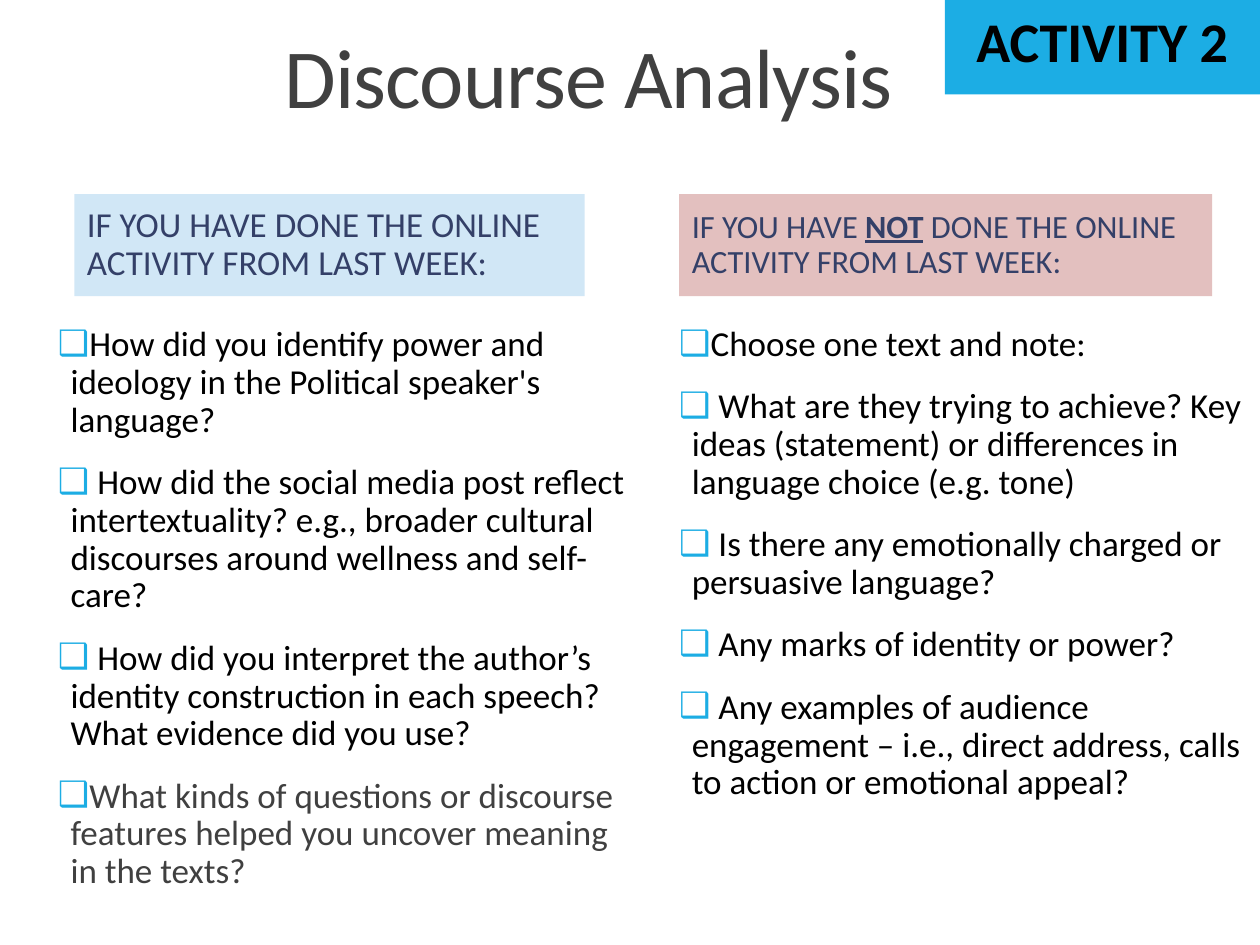
import pptx
import pptx.util
import pptx.dml.color
import pptx.enum.text
import pptx.enum.shapes
import pptx.oxml.ns
import lxml.etree

Inches = pptx.util.Inches
Pt = pptx.util.Pt
RGBColor = pptx.dml.color.RGBColor
ANCHOR = pptx.enum.text.MSO_ANCHOR
ALIGN = pptx.enum.text.PP_ALIGN

BLACK = RGBColor(0x00, 0x00, 0x00)
GRAY = RGBColor(0x40, 0x40, 0x40)
NAVY = RGBColor(0x34, 0x40, 0x68)
ACCENT = RGBColor(0x1C, 0xAD, 0xE4)
PALE_BLUE = RGBColor(0xD1, 0xE7, 0xF6)
PALE_RED = RGBColor(0xE3, 0xC0, 0xBF)

TITLE = "Discourse Analysis"
TAG = "ACTIVITY 2"
HEADING_TOP, HEADING_HEIGHT = 1.54, 0.81
LIST_TOP, LIST_WIDTH, LIST_HEIGHT = 2.54, 4.54, 4.56

COLUMNS = [
    {
        "heading": [("IF YOU HAVE DONE THE ONLINE ACTIVITY FROM LAST WEEK:", False)],
        "heading_left": 0.59, "heading_width": 4.05, "heading_size": 20,
        "fill": PALE_BLUE, "list_left": 0.46,
        "items": [
            ("How did you identify power and ideology in the Political speaker's language?", BLACK),
            (" How did the social media post reflect intertextuality? e.g., broader cultural "
             "discourses around wellness and self-care?", BLACK),
            (" How did you interpret the author’s identity construction in each speech? "
             "What evidence did you use?", BLACK),
            ("What kinds of questions or discourse features helped you uncover meaning "
             "in the texts?", GRAY),
        ],
    },
    {
        "heading": [("IF YOU HAVE ", False), ("NOT", True),
                    (" DONE THE ONLINE ACTIVITY FROM LAST WEEK:", False)],
        "heading_left": 5.39, "heading_width": 4.23, "heading_size": 18.5,
        "fill": PALE_RED, "list_left": 5.39,
        "items": [
            ("Choose one text and note:", BLACK),
            (" What are they trying to achieve? Key ideas (statement) or differences in "
             "language choice (e.g. tone)", BLACK),
            (" Is there any emotionally charged or persuasive language?", BLACK),
            (" Any marks of identity or power?", BLACK),
            (" Any examples of audience engagement – i.e., direct address, calls to action "
             "or emotional appeal?", BLACK),
        ],
    },
]


def place(shape, left, top, width, height, anchor):
    shape.left, shape.top = Inches(left), Inches(top)
    shape.width, shape.height = Inches(width), Inches(height)
    text_frame = shape.text_frame
    text_frame.word_wrap = True
    text_frame.auto_size = pptx.enum.text.MSO_AUTO_SIZE.NONE
    text_frame.vertical_anchor = anchor
    return text_frame


def style(run, size, color, bold=False):
    run.font.name = "Calibri"
    run.font.size = Pt(size)
    run.font.color.rgb = color
    run.font.bold = bold


def space(paragraph, before):
    paragraph.line_spacing = 0.9
    paragraph.space_before = Pt(before)
    paragraph.space_after = Pt(2)


def add_bullet(paragraph):
    properties = paragraph._p.get_or_add_pPr()
    properties.set("marL", str(Inches(0.1)))
    properties.set("indent", str(Inches(-0.1)))
    qn = pptx.oxml.ns.qn
    bullet_color = lxml.etree.SubElement(properties, qn("a:buClr"))
    lxml.etree.SubElement(bullet_color, qn("a:srgbClr"), val=str(ACCENT))
    lxml.etree.SubElement(properties, qn("a:buChar"), char="❑")


def fill_heading(shape, column):
    text_frame = place(shape, column["heading_left"], HEADING_TOP,
                       column["heading_width"], HEADING_HEIGHT, ANCHOR.MIDDLE)
    shape.fill.solid()
    shape.fill.fore_color.rgb = column["fill"]
    paragraph = text_frame.paragraphs[0]
    space(paragraph, 0)
    for text, emphasized in column["heading"]:
        run = paragraph.add_run()
        run.text = text
        style(run, column["heading_size"], NAVY, emphasized)
        run.font.underline = emphasized


def fill_list(shape, column):
    text_frame = place(shape, column["list_left"], LIST_TOP, LIST_WIDTH, LIST_HEIGHT, ANCHOR.TOP)
    text_frame.margin_left = text_frame.margin_right = 0
    text_frame.text = "\n".join(text for text, color in column["items"])
    for index, (text, color) in enumerate(column["items"]):
        paragraph = text_frame.paragraphs[index]
        add_bullet(paragraph)
        space(paragraph, 12 if index else 0)
        style(paragraph.runs[0], 20, color)


def main():
    presentation = pptx.Presentation()
    presentation.slide_width, presentation.slide_height = Inches(10), Inches(7.5)
    slide = presentation.slides.add_slide(presentation.slide_layouts.get_by_name("Comparison"))
    title, *bodies = slide.placeholders

    text_frame = place(title, 2.16, 0.1, 8.25, 0.95, ANCHOR.BOTTOM)
    text_frame.text = TITLE
    paragraph = text_frame.paragraphs[0]
    paragraph.alignment = ALIGN.LEFT
    paragraph.line_spacing = 0.85
    style(paragraph.runs[0], 48, GRAY)
    paragraph.runs[0]._r.get_or_add_rPr().set("spc", "-50")

    for column, heading, body in zip(COLUMNS, bodies[0:4:2], bodies[1:4:2]):
        fill_heading(heading, column)
        fill_list(body, column)
    for placeholder in bodies[4:]:
        placeholder.element.getparent().remove(placeholder.element)

    tag = slide.shapes.add_shape(pptx.enum.shapes.MSO_SHAPE.RECTANGLE, 0, 0, 0, 0)
    text_frame = place(tag, 7.5, 0, 2.5, 0.75, ANCHOR.TOP)
    tag.shadow.inherit = False
    tag.fill.solid()
    tag.fill.fore_color.rgb = ACCENT
    tag.line.fill.background()
    text_frame.text = TAG
    text_frame.paragraphs[0].alignment = ALIGN.CENTER
    style(text_frame.paragraphs[0].runs[0], 32, BLACK, True)

    presentation.save("out.pptx")


if __name__ == "__main__":
    main()
